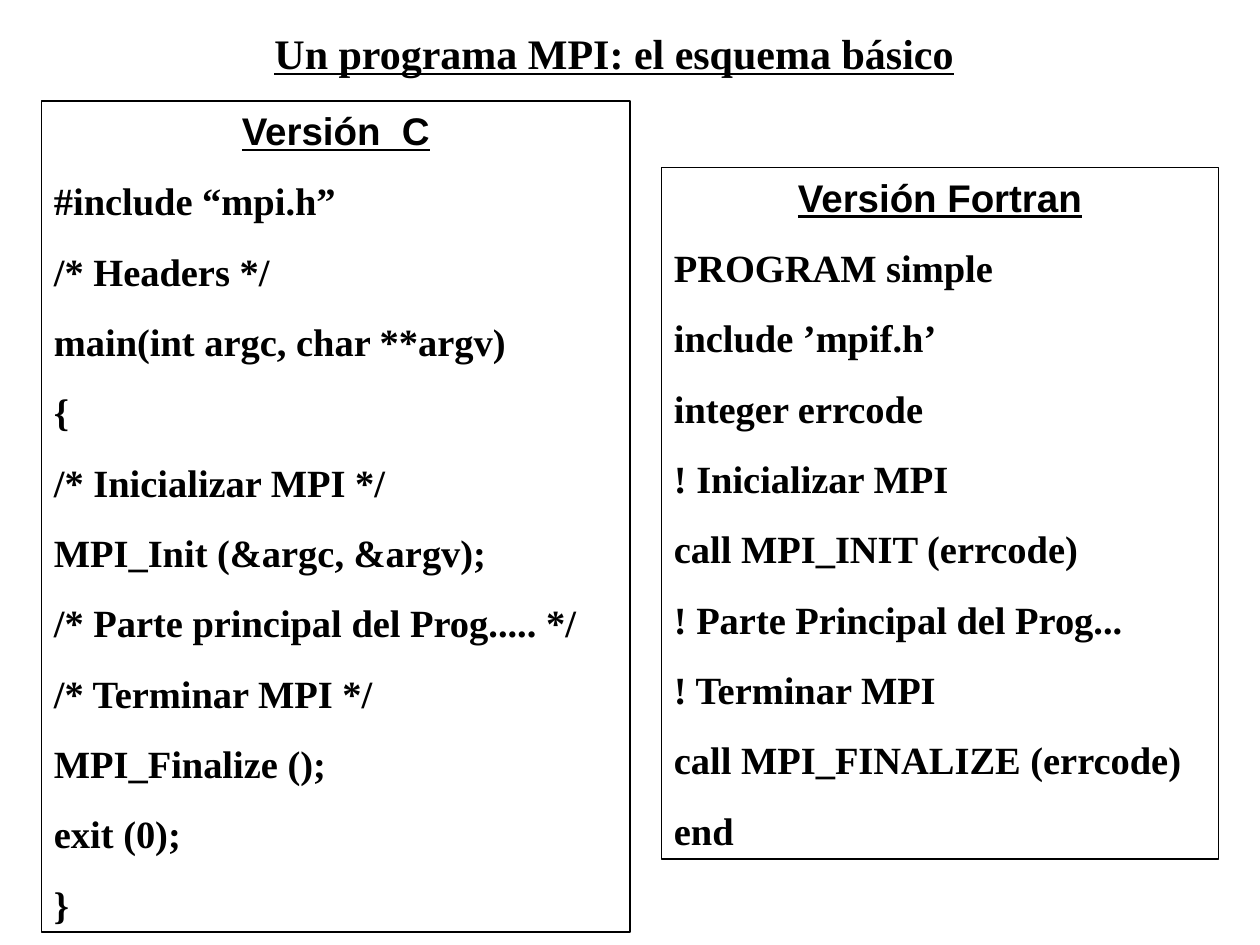
from dataclasses import dataclass

from pptx import Presentation
from pptx.dml.color import RGBColor
from pptx.enum.shapes import MSO_SHAPE
from pptx.enum.text import MSO_ANCHOR, MSO_AUTO_SIZE, PP_ALIGN
from pptx.slide import Slide
from pptx.text.text import TextFrame, _Paragraph
from pptx.util import Inches, Pt

BLACK = RGBColor(0x00, 0x00, 0x00)
WHITE = RGBColor(0xFF, 0xFF, 0xFF)
RECTANGLE = MSO_SHAPE.RECTANGLE
LEFT, CENTER = PP_ALIGN.LEFT, PP_ALIGN.CENTER
TOP = MSO_ANCHOR.TOP
FIT_SHAPE = MSO_AUTO_SIZE.SHAPE_TO_FIT_TEXT
HEADING_FONT = "Arial"
BODY_FONT = "Times New Roman"
BLANK_LAYOUT = 6


@dataclass(frozen=True)
class CodePanel:
    left: float
    top: float
    width: float
    height: float
    heading: str
    code: tuple[str, ...]


PANELS = (
    CodePanel(5.25, 1.33, 4.42, 5.49, "Versión Fortran", (
        "PROGRAM simple",
        "include ’mpif.h’",
        "integer errcode",
        "! Inicializar MPI",
        "call MPI_INIT (errcode)",
        "! Parte Principal del Prog...",
        "! Terminar MPI",
        "call MPI_FINALIZE (errcode)",
        "end",
    )),
    CodePanel(0.33, 0.8, 4.67, 6.6, "Versión  C", (
        "#include “mpi.h”",
        "/* Headers */",
        "main(int argc, char **argv)",
        "{",
        "/* Inicializar MPI */",
        "MPI_Init (&argc, &argv);",
        "/* Parte principal del Prog..... */",
        "/* Terminar MPI */",
        "MPI_Finalize ();",
        "exit (0);",
        "}",
    )),
)


def prepare_frame(text_frame: TextFrame) -> None:
    text_frame.word_wrap = True
    text_frame.auto_size = FIT_SHAPE
    text_frame.vertical_anchor = TOP


def format_paragraph(paragraph: _Paragraph, font_name: str, size: float,
                     space_before: float, alignment: PP_ALIGN = LEFT,
                     underline: bool = False) -> None:
    paragraph.alignment = alignment
    paragraph.space_before = Pt(space_before)
    for run in paragraph.runs:
        run.font.name = font_name
        run.font.size = Pt(size)
        run.font.bold = True
        run.font.underline = underline
        run.font.color.rgb = BLACK


def add_title(slide: Slide, text: str) -> None:
    title = slide.shapes.add_textbox(
        Inches(2.08), Inches(0.17), Inches(5.83), Inches(0.5))
    prepare_frame(title.text_frame)
    title.text_frame.text = text
    format_paragraph(title.text_frame.paragraphs[0], BODY_FONT, 24, 15,
                     underline=True)


def add_code_panel(slide: Slide, panel: CodePanel) -> None:
    shape = slide.shapes.add_shape(
        RECTANGLE, Inches(panel.left), Inches(panel.top),
        Inches(panel.width), Inches(panel.height))
    shape.shadow.inherit = False
    shape.fill.solid()
    shape.fill.fore_color.rgb = WHITE
    shape.line.color.rgb = BLACK
    shape.line.width = Pt(1)

    prepare_frame(shape.text_frame)
    shape.text_frame.text = "\n".join((panel.heading, *panel.code))
    heading, *code_lines = shape.text_frame.paragraphs
    format_paragraph(heading, HEADING_FONT, 22, 13.8, CENTER, underline=True)
    for code_line in code_lines:
        format_paragraph(code_line, BODY_FONT, 22, 13.8)


def main() -> None:
    presentation = Presentation()
    presentation.slide_width = Inches(10)
    presentation.slide_height = Inches(7.5)
    slide = presentation.slides.add_slide(
        presentation.slide_layouts[BLANK_LAYOUT])
    for panel in PANELS:
        add_code_panel(slide, panel)
    add_title(slide, "Un programa MPI: el esquema básico")
    presentation.save("out.pptx")


if __name__ == "__main__":
    main()
